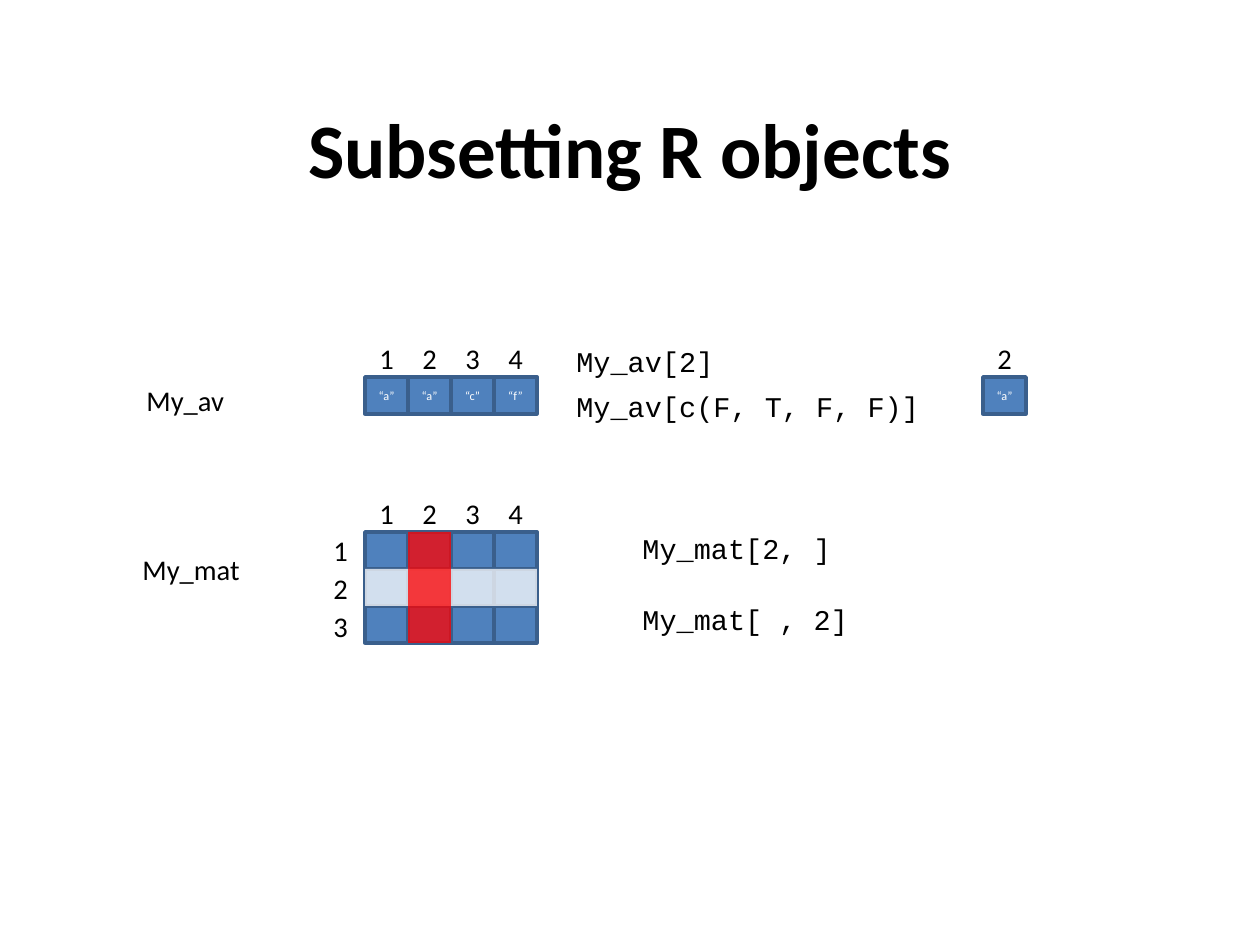
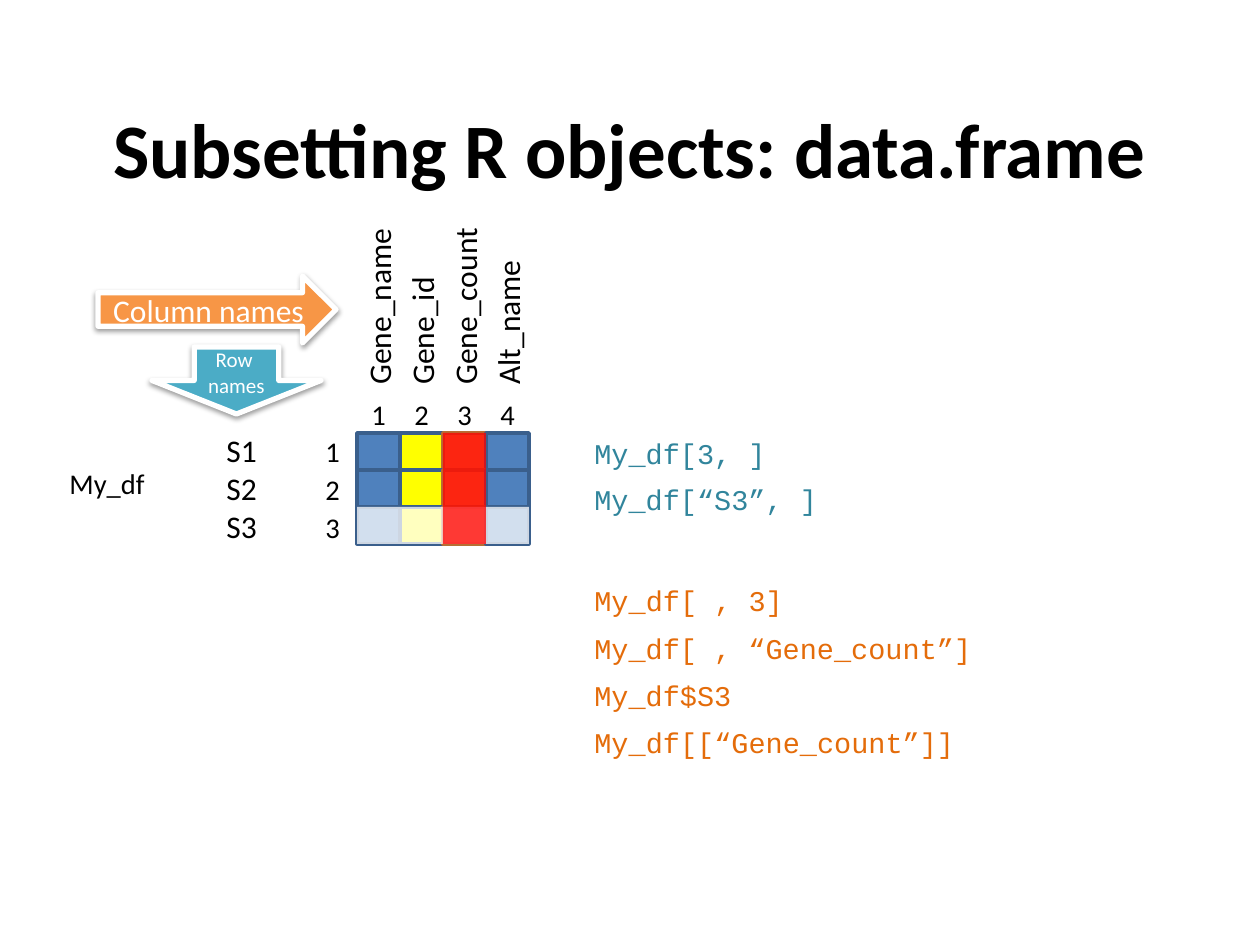
"""Build two slides on subsetting R vectors, matrices and data frames."""
from lxml import etree
from pptx import Presentation
from pptx.dml.color import RGBColor
from pptx.enum.shapes import MSO_SHAPE as SHAPE
from pptx.enum.text import MSO_ANCHOR as ANCHOR, PP_ALIGN as ALIGN
from pptx.oxml import parse_xml
from pptx.oxml.ns import nsdecls, qn

SCALE = 914400 / 126
SANS, MONO = "Calibri", "Courier New"
BLACK, WHITE, RED, YELLOW = "000000", "FFFFFF", "FF0000", "FFFF00"
BLUE, BLUE_LINE = "4F81BD", "3A5F8C"
ORANGE, ORANGE_LINE = "F79646", "B76F34"
AQUA, AQUA_TEXT, ORANGE_TEXT = "4BACC6", "31859C", "E46C0A"
BODY, LABEL = 16.3, 18
CELL_W, CELL_H, LINE_H = 43, 37, 48
BLUE_CELL, YELLOW_CELL, ORANGE_CELL = (BLUE, BLUE_LINE), (YELLOW, BLUE_LINE), (ORANGE, ORANGE_LINE)

VECTOR = ["“a”", "“a”", "“c”", "“f”"]
MATRIX_COLUMNS = [BLUE_CELL] * 4
FRAME_COLUMNS = [BLUE_CELL, YELLOW_CELL, ORANGE_CELL, BLUE_CELL]
FRAME_NAMES = [("Gene_name", 189), ("Gene_id", 146), ("Gene_count", 189), ("Alt_name", 222)]
SAMPLES = ["S1", "S2", "S3"]
OBJECT_NAMES = [
    [("My_mat", 130, 546, 192), ("My_av", 134, 377, 207)],
    [("My_df", 57, 460, 198)],
]
CODES = [
    [("My_av[2]", 564, 338, BLACK), ("My_av[c(F, T, F, F)]", 564, 383, BLACK),
     ("My_mat[2, ]", 630, 525, BLACK), ("My_mat[ , 2]", 630, 596, BLACK)],
    [("My_df[3, ]", 582, 430, AQUA_TEXT), ("My_df[“S3”, ]", 582, 476, AQUA_TEXT),
     ("My_df[ , 3]", 582, 577, ORANGE_TEXT), ("My_df[ , “Gene_count”]", 582, 625, ORANGE_TEXT),
     ("My_df$S3", 582, 672, ORANGE_TEXT), ("My_df[[“Gene_count”]]", 582, 719, ORANGE_TEXT)],
]
ARROWS = [
    (SHAPE.RIGHT_ARROW, (98, 276, 238, 67), ORANGE, ["Column names"], 18),
    (SHAPE.DOWN_ARROW, (152, 347, 169, 67), AQUA, ["Row ", "names"], 12),
]
SHADOW = (
    f'<a:effectLst {nsdecls("a")}><a:outerShdw blurRad="39370" dist="20320" dir="5400000" rotWithShape="0">'
    '<a:srgbClr val="000000"><a:alpha val="38000"/></a:srgbClr></a:outerShdw></a:effectLst>'
)


def emu(*pixels):
    return [round(pixel * SCALE) for pixel in pixels]


def color(value):
    return RGBColor.from_string(value)


def write(shape, lines, size, ink=BLACK, font=SANS, align=ALIGN.LEFT, bold=False):
    frame = shape.text_frame
    for index, line in enumerate(lines):
        para = frame.paragraphs[0] if index == 0 else frame.add_paragraph()
        para.alignment = align
        span = para.add_run()
        span.text = line
        span.font.size = round(size * 12700)
        span.font.name = font
        span.font.bold = bold
        span.font.color.rgb = color(ink)


def add_text(page, text, place, size=BODY, **style):
    box = page.shapes.add_textbox(*emu(*place))
    box.text_frame.word_wrap = True
    write(box, [text], size, **style)
    return box


def add_block(page, kind, place, fill, line=None, width=2, lines=(), size=7):
    shape = page.shapes.add_shape(kind, *emu(*place))
    shape.shadow.inherit = False
    shape.fill.solid()
    shape.fill.fore_color.rgb = color(fill)
    if line:
        shape.line.color.rgb = color(line)
        shape.line.width = width * 12700
    else:
        shape.line.fill.background()
    frame = shape.text_frame
    frame.margin_left = frame.margin_right = frame.margin_top = frame.margin_bottom = 0
    frame.vertical_anchor = ANCHOR.MIDDLE
    frame.word_wrap = False
    write(shape, lines, size, WHITE, align=ALIGN.CENTER)
    return shape


def add_cell(page, left, top, colors=BLUE_CELL, lines=()):
    add_block(page, SHAPE.RECTANGLE, (left, top, CELL_W, CELL_H), *colors, lines=lines)


def add_number(page, number, left, top):
    add_text(page, str(number), (left, top, CELL_W, LINE_H), align=ALIGN.CENTER)


def add_vector(page, left, top, values, first=1):
    for index, value in enumerate(values):
        x = left + index * CELL_W
        add_cell(page, x, top, lines=[value])
        add_number(page, first + index, x, top - 42)


def add_highlight(page, place, fill):
    band = add_block(page, SHAPE.RECTANGLE, place, fill)
    tint = band.fill._xPr.find(qn("a:solidFill"))[0]
    etree.SubElement(tint, qn("a:alpha")).set("val", "75000")


def add_grid(page, left, top, columns, picked_row, picked_column, rows=3):
    for row in range(rows):
        for index, colors in enumerate(columns):
            add_cell(page, left + index * CELL_W, top + row * CELL_H, colors)
        add_number(page, row + 1, left - 46, top - 5 + row * 38)
    for index in range(len(columns)):
        add_number(page, index + 1, left + index * CELL_W, top - 42)
    add_highlight(page, (left, top + (picked_row - 1) * CELL_H, len(columns) * CELL_W, CELL_H), WHITE)
    add_highlight(page, (left + (picked_column - 1) * CELL_W, top, CELL_W, rows * CELL_H), RED)


def add_page(deck, title, names, codes):
    page = deck.slides.add_slide(deck.slide_layouts[6])
    add_text(page, title, (63, 95, 1134, 158), 44, align=ALIGN.CENTER, bold=True)
    for name, left, top, width in names:
        add_text(page, name, (left, top, width, LINE_H))
    for code, left, top, ink in codes:
        add_text(page, code, (left, top, len(code) * 18 + 32, LINE_H), ink=ink, font=MONO)
    return page


def add_frame_labels(page, left, bottom):
    for index, (name, length) in enumerate(FRAME_NAMES):
        center_x, center_y = left + (index + 0.5) * CELL_W, bottom - length / 2
        box = add_text(page, name, (center_x - length / 2, center_y - 25, length, 50), LABEL)
        box.rotation = 270
    for index, sample in enumerate(SAMPLES):
        add_text(page, sample, (214, 425 + index * 38, 64, 50), LABEL)
    for kind, place, fill, lines, size in ARROWS:
        arrow = add_block(page, kind, place, fill, WHITE, 3, lines, size)
        properties = arrow._element.spPr
        properties.replace(properties.find(qn("a:effectLst")), parse_xml(SHADOW))


deck = Presentation()
deck.slide_width, deck.slide_height = emu(1260, 945)

page = add_page(deck, "Subsetting R objects", OBJECT_NAMES[0], CODES[0])
add_vector(page, 365, 377, VECTOR)
add_vector(page, 983, 377, VECTOR[1:2], first=2)
add_grid(page, 365, 532, MATRIX_COLUMNS, picked_row=2, picked_column=2)

page = add_page(deck, "Subsetting R objects: data.frame", OBJECT_NAMES[1], CODES[1])
add_grid(page, 357, 433, FRAME_COLUMNS, picked_row=3, picked_column=3)
add_frame_labels(page, 357, 397)

deck.save("out.pptx")
